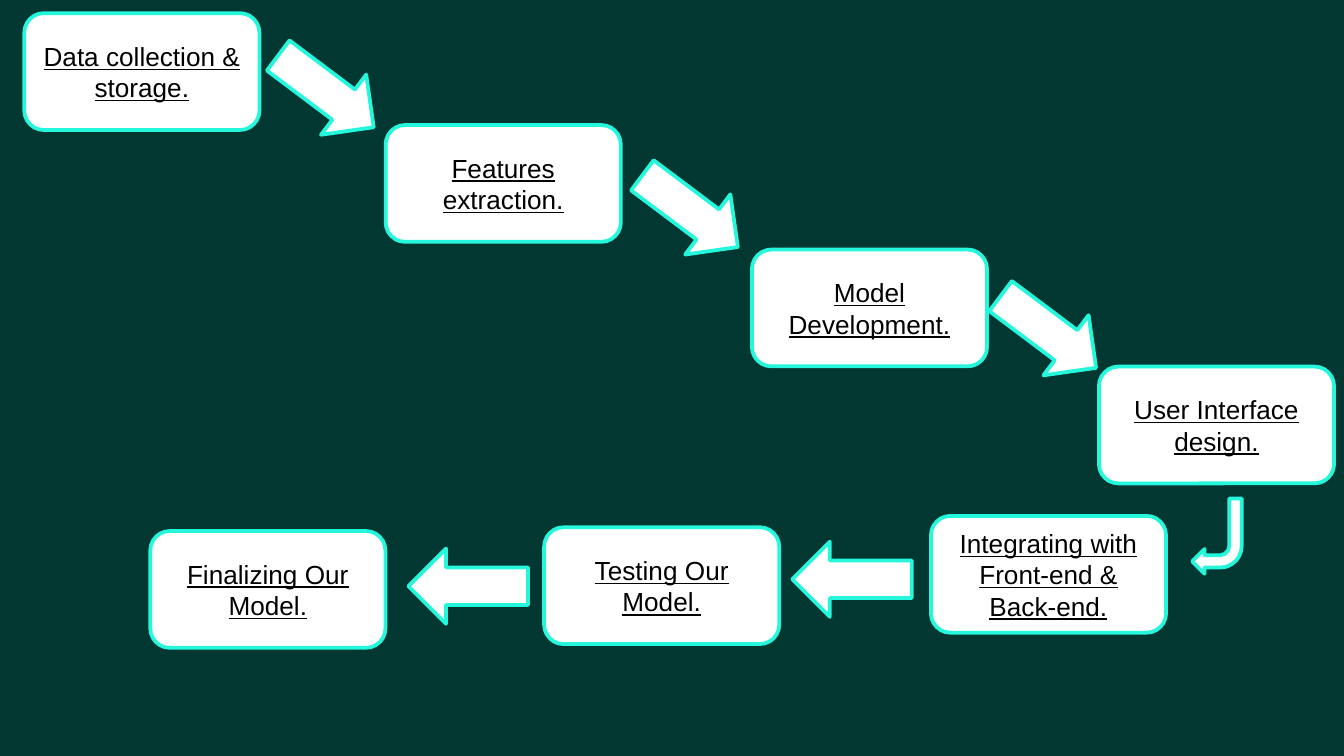
from pptx import Presentation
from pptx.dml.color import RGBColor
from pptx.enum.shapes import MSO_SHAPE as Preset
from pptx.enum.text import MSO_ANCHOR as Anchor, PP_ALIGN as Align
from pptx.util import Pt

BACKGROUND, WHITE, AQUA, BLACK = "023831", "FFFFFF", "25F7DC", "000000"
STEP_SIZE = (126, 62.6)
ARROW_SIZE = (64, 40.3)
TURN_SIZE = (26.6, 40.3)

STEPS = [
    ("Data collection & storage.", 13, 7.1),
    ("Features extraction.", 206.6, 67),
    ("Model Development.", 402.8, 133.7),
    ("User Interface design.", 588.7, 196.4),
    ("Integrating with Front-end & Back-end.", 498.7, 276.4),
    ("Testing Our Model.", 291.5, 282.5),
    ("Finalizing Our Model.", 80.5, 284.5),
]
ARROWS = [
    (142.6, 28.8, 36.9),
    (337.7, 93, 36.9),
    (529.6, 157.7, 36.9),
    (424.4, 290.2, 180),
    (218.8, 293.9, 180),
]


def color(value):
    """Turn a hex string into a colour."""
    return RGBColor.from_string(value)


def add_outlined(page, preset, left, top, size, rotation=0):
    """Add a white shape with an aqua outline."""
    shape = page.shapes.add_shape(preset, Pt(left), Pt(top), *map(Pt, size))
    shape.shadow.inherit = False
    shape.rotation = rotation
    shape.fill.solid()
    shape.fill.fore_color.rgb = color(WHITE)
    shape.line.color.rgb = color(AQUA)
    shape.line.width = Pt(2)
    return shape


def write(box, text, size=14, font="Arial", fill=BLACK, underline=True):
    """Write one centred line of text into a box."""
    frame = box.text_frame
    frame.word_wrap = True
    frame.vertical_anchor = Anchor.MIDDLE
    para = frame.paragraphs[0]
    para.alignment = Align.CENTER
    span = para.add_run()
    span.text = text
    span.font.size = Pt(size)
    span.font.name = font
    span.font.underline = underline
    span.font.color.rgb = color(fill)


def add_step(page, text, left, top):
    """Add a rounded box naming one step of the process."""
    write(add_outlined(page, Preset.ROUNDED_RECTANGLE, left, top, STEP_SIZE), text)


def main():
    """Build the process slide and save the deck."""
    deck = Presentation()
    deck.slide_width, deck.slide_height = Pt(720), Pt(405)
    page = deck.slides.add_slide(deck.slide_layouts[6])
    page.background.fill.solid()
    page.background.fill.fore_color.rgb = color(BACKGROUND)
    for text, left, top in STEPS:
        add_step(page, text, left, top)
    for left, top, rotation in ARROWS:
        add_outlined(page, Preset.RIGHT_ARROW, left, top, ARROW_SIZE, rotation)
    add_outlined(page, Preset.BENT_ARROW, 638.6, 267.1, TURN_SIZE, 180)
    deck.save("out.pptx")


if __name__ == "__main__":
    main()
